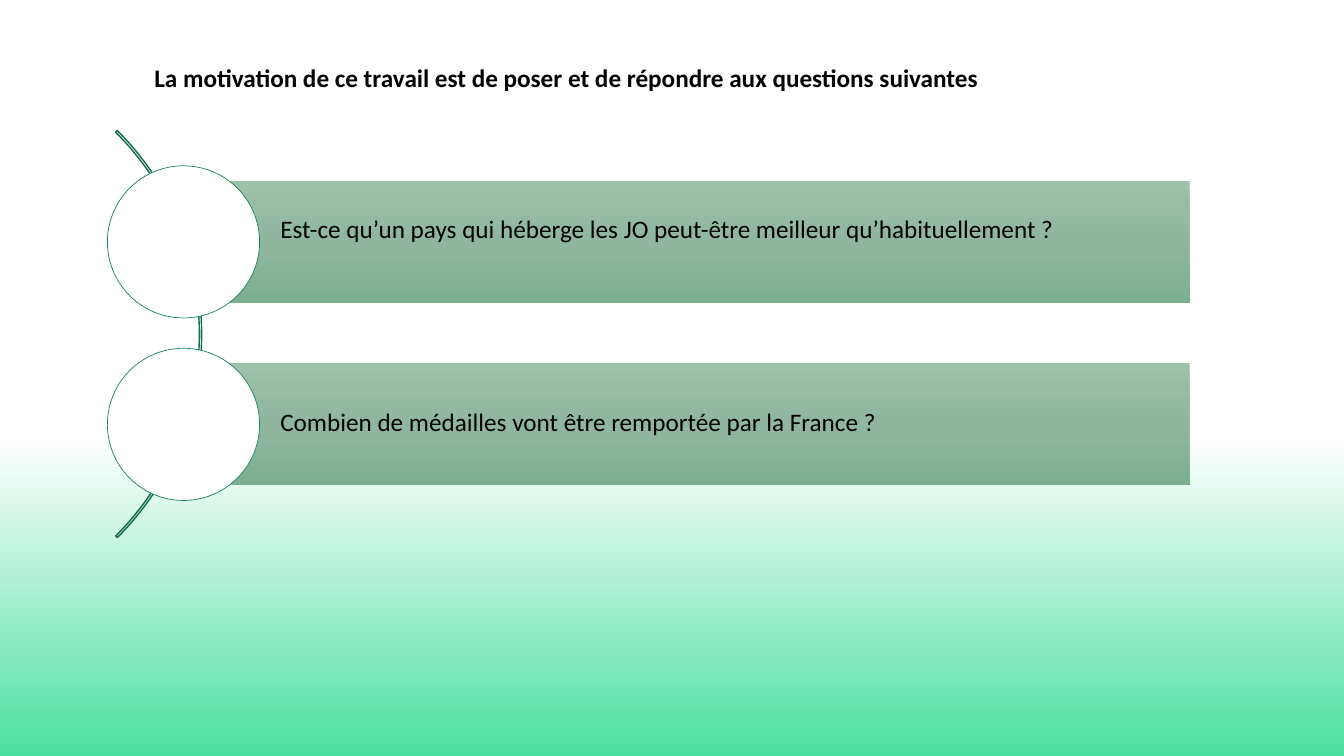
import copy
from dataclasses import dataclass

import pptx
import pptx.dml.color
import pptx.enum.shapes
import pptx.enum.text
import pptx.oxml.ns
import pptx.util

Inches = pptx.util.Inches
Shape = pptx.enum.shapes.MSO_SHAPE
Anchor = pptx.enum.text.MSO_ANCHOR


@dataclass(frozen=True)
class Theme:
    font: str = "Calibri"
    text_size: float = 18
    text: str = "000000"
    disc_fill: str = "FFFFFF"
    disc_line: str = "188659"
    arc_line: str = "136B47"
    glow: tuple = ((0, "FFFFFF"), (0.14, "FFFFFF"), (1, "4CDFA3"))
    bar: tuple = ((0, "9EC1AC"), (0.5, "91B6A0"), (1, "7DAE91"))


@dataclass(frozen=True)
class Question:
    text: str
    bottom_inset: float


THEME = Theme()
QUESTIONS = (
    Question("Est-ce qu’un pays qui héberge les JO peut-être meilleur "
             "qu’habituellement\u00a0?", 0.26),
    Question("Combien de médailles vont être remportée par la France\u00a0?", 0.05),
)
BAR_LEFT, BAR_WIDTH, BAR_HEIGHT = 1.82, 9.98, 1.21
FIRST_CENTER, QUESTION_PITCH = 2.4, 1.81
DISC_SIZE = 1.51


def rgb(color: str) -> pptx.dml.color.RGBColor:
    return pptx.dml.color.RGBColor.from_string(color)


def add_preset(kind, left: float, top: float, width: float, height: float,
               fill: str | None = None, line: str | None = None,
               line_width: float = 1):
    shape = slide.shapes.add_shape(
        kind, Inches(left), Inches(top), Inches(width), Inches(height))
    shape.shadow.inherit = False
    if fill:
        shape.fill.solid()
        shape.fill.fore_color.rgb = rgb(fill)
    else:
        shape.fill.background()
    if line:
        shape.line.color.rgb = rgb(line)
        shape.line.width = pptx.util.Pt(line_width)
    else:
        shape.line.fill.background()
    return shape


def fill_downward(shape, stops: tuple) -> None:
    """Fill from top to bottom with three colour stops."""
    shape.fill.gradient()
    shape.fill.gradient_angle = 270
    stop_list = shape._element.spPr.find(".//" + pptx.oxml.ns.qn("a:gsLst"))
    stop_list.append(copy.deepcopy(stop_list[-1]))
    for stop, (position, color) in zip(shape.fill.gradient_stops, stops):
        stop.position = position
        stop.color.rgb = rgb(color)


def write(shape, text: str, *, bold: bool = False, anchor=Anchor.MIDDLE,
          insets: tuple = (0.1, 0.05, 0.1, 0.05), spacing: float = 1) -> None:
    frame = shape.text_frame
    frame.word_wrap = True
    frame.auto_size = pptx.enum.text.MSO_AUTO_SIZE.NONE
    frame.vertical_anchor = anchor
    (frame.margin_left, frame.margin_top,
     frame.margin_right, frame.margin_bottom) = map(Inches, insets)
    paragraph = frame.paragraphs[0]
    paragraph.alignment = pptx.enum.text.PP_ALIGN.LEFT
    paragraph.line_spacing = spacing
    run = paragraph.add_run()
    run.text = text
    run.font.name = THEME.font
    run.font.size = pptx.util.Pt(THEME.text_size)
    run.font.bold = bold
    run.font.color.rgb = rgb(THEME.text)


def add_question(question: Question, center: float) -> None:
    bar = add_preset(Shape.RECTANGLE, BAR_LEFT, center - BAR_HEIGHT / 2,
                     BAR_WIDTH, BAR_HEIGHT)
    fill_downward(bar, THEME.bar)
    write(bar, question.text, spacing=0.9,
          insets=(0.96, 0.03, 0.03, question.bottom_inset))
    add_preset(Shape.OVAL, BAR_LEFT - DISC_SIZE / 2, center - DISC_SIZE / 2,
               DISC_SIZE, DISC_SIZE, fill=THEME.disc_fill,
               line=THEME.disc_line, line_width=0.5)


deck = pptx.Presentation()
deck.slide_width, deck.slide_height = Inches(13.33), Inches(7.5)
slide = deck.slides.add_slide(deck.slide_layouts.get_by_name("Title Only"))

# Green glow at the foot of the slide
glow = add_preset(Shape.RECTANGLE, 0, 3.84, 13.33, 3.66)
fill_downward(glow, THEME.glow)

# Title
title = slide.shapes.title
title.left, title.top = Inches(1.43), Inches(0.57)
title.width, title.height = Inches(9.02), Inches(0.71)
write(title, "La motivation de ce travail est de poser et de répondre "
      "aux questions suivantes", bold=True, anchor=Anchor.TOP)

# Arc that links the questions
arc = add_preset(Shape.BLOCK_ARC, -3.71, 0.46, 5.71, 5.71, line=THEME.arc_line)
for index, value in enumerate((189, 27, 0.004)):
    arc.adjustments[index] = value

# Questions
for row, question in enumerate(QUESTIONS):
    add_question(question, FIRST_CENTER + row * QUESTION_PITCH)

deck.save("out.pptx")
